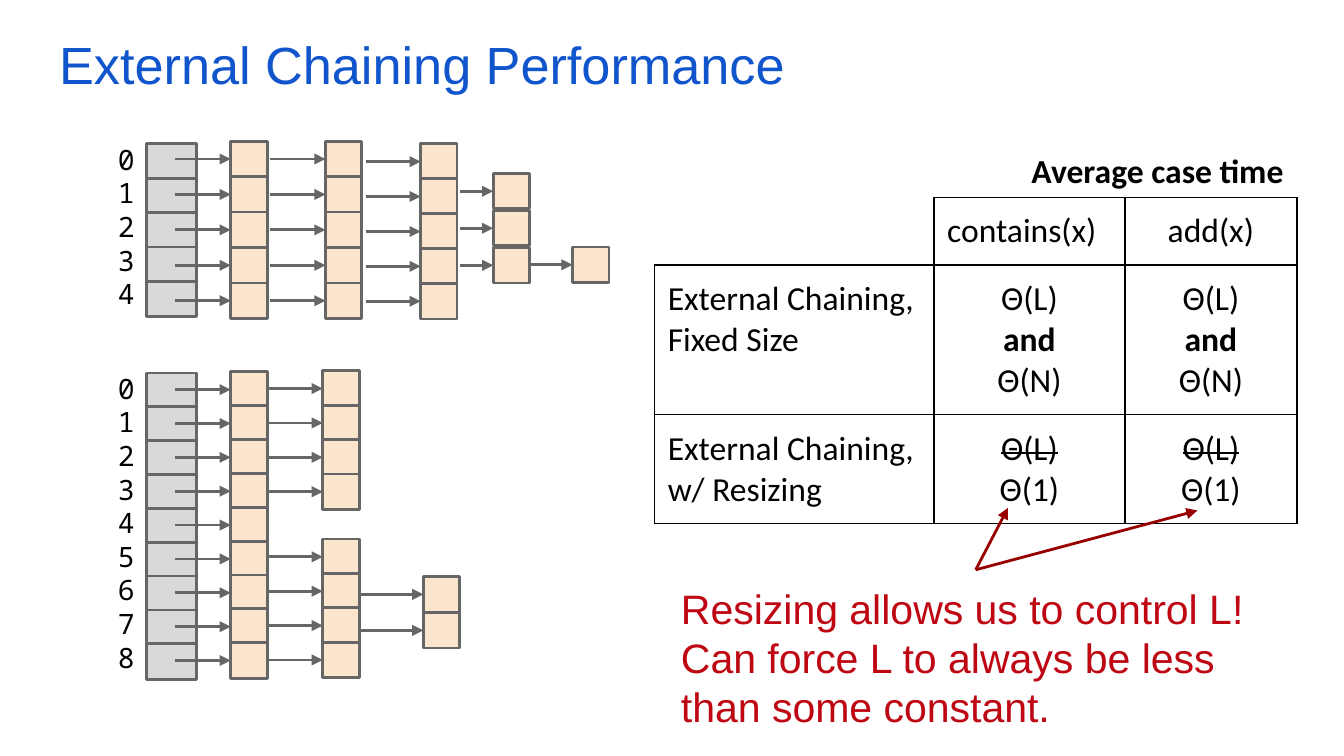
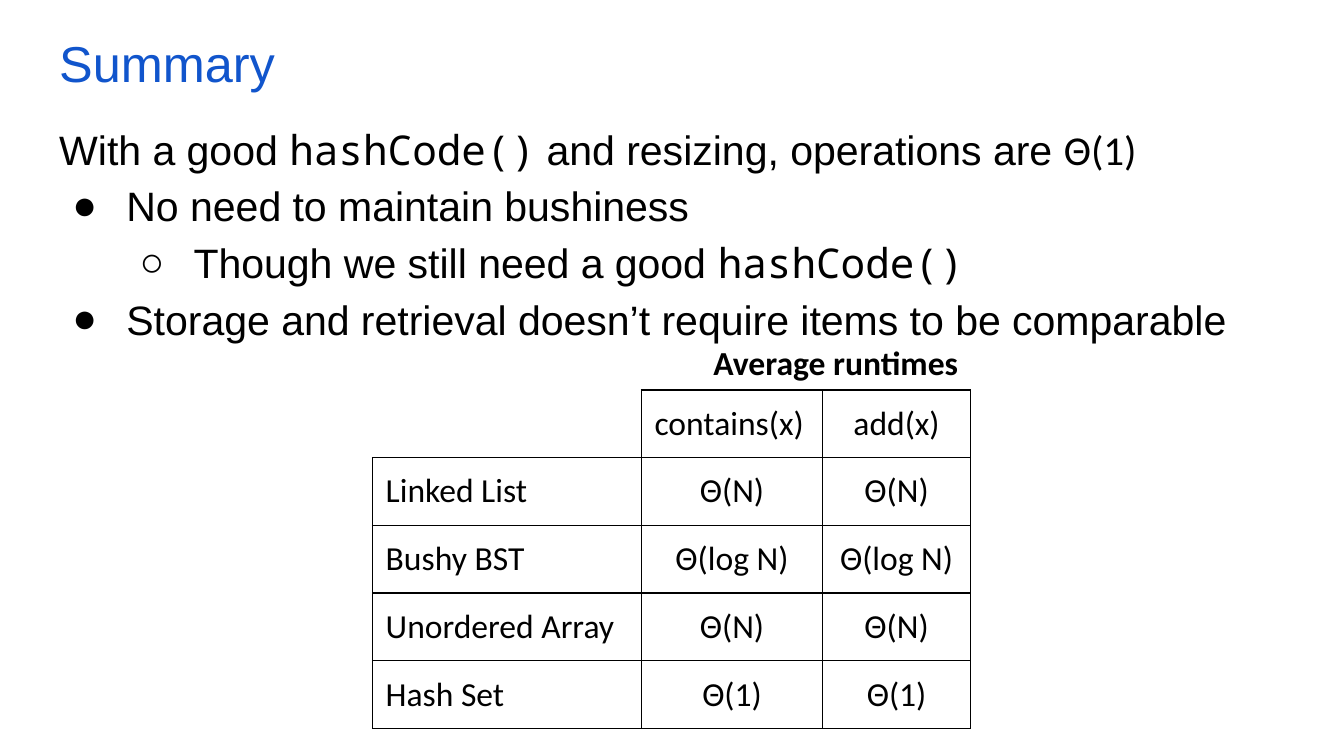
"""Builds two slides on the running time of external chaining hash tables."""
from lxml import etree
from pptx import Presentation
from pptx.dml.color import RGBColor
from pptx.enum.shapes import MSO_CONNECTOR, MSO_SHAPE
from pptx.enum.text import MSO_ANCHOR, PP_ALIGN
from pptx.oxml.ns import qn
from pptx.util import Cm, Pt

LEFT, CENTER, RIGHT = PP_ALIGN.LEFT, PP_ALIGN.CENTER, PP_ALIGN.RIGHT
TOP, MIDDLE = MSO_ANCHOR.TOP, MSO_ANCHOR.MIDDLE
RECTANGLE, STRAIGHT = MSO_SHAPE.RECTANGLE, MSO_CONNECTOR.STRAIGHT

BLACK = RGBColor(0x00, 0x00, 0x00)
WHITE = RGBColor(0xFF, 0xFF, 0xFF)
TITLE_BLUE = RGBColor(0x11, 0x55, 0xCC)
BUCKET_GRAY = RGBColor(0xD9, 0xD9, 0xD9)
ITEM_PEACH = RGBColor(0xFC, 0xE5, 0xCD)
LINE_GRAY = RGBColor(0x66, 0x66, 0x66)
NOTE_RED = RGBColor(0xBE, 0x07, 0x12)
ARROW_RED = RGBColor(0x98, 0x00, 0x00)

MONO = {"name": "Noto Sans Mono"}
CALIBRI = {"name": "Calibri"}
TITLE = {"name": "Arial", "size": Pt(28), "color": TITLE_BLUE}
BODY = {"name": "Arial", "size": Pt(22), "color": BLACK}
NOTE = {**BODY, "color": NOTE_RED}
CELL = {**CALIBRI, "size": Pt(18), "color": BLACK}
CAPTION = {**CELL, "bold": True}
INDEX = {**MONO, "size": Pt(15), "color": BLACK}

TITLE_BOX = (0.87, 0.36, 23.66, 1.6)
INSET = 0.25
BUCKET_LEFT, BUCKET_W, ITEM_W, BOX_H = 2.77, 0.94, 0.69, 0.67

# fmt: off
HASH_TABLES = [
    {"buckets": 5, "top": 2.72, "pitch": 0.65, "columns": [
        (3.3, 4.36, 2.67, 0.67, 5), (5.11, 6.15, 2.67, 0.67, 5),
        (6.91, 7.95, 2.72, 0.66, 5), (8.69, 9.32, 3.28, 0.7, 3),
        (10.03, 10.82, 4.67, 0.7, 1)]},
    {"buckets": 9, "top": 7.05, "pitch": 0.64, "columns": [
        (3.3, 4.36, 7.03, 0.64, 9), (5.05, 6.1, 7.01, 0.65, 4),
        (5.05, 6.1, 10.19, 0.65, 4), (6.8, 8.0, 10.9, 0.68, 2)]},
]
# fmt: on

FIXED_SIZE = ["Θ(L)", ("and", {"bold": True}), "Θ(N)"]
RESIZING = [("Θ(L)", {"strike": True}), "Θ(1)"]
HEADER = [[], ["contains(x)"], ["add(x)"]]
CHAINING_ROWS = [
    HEADER,
    [["External Chaining,", "Fixed Size"], FIXED_SIZE, FIXED_SIZE],
    [["External Chaining,", "w/ Resizing"], RESIZING, RESIZING],
]
RUNTIMES = [
    ("Linked List", "Θ(N)"),
    ("Bushy BST", "Θ(log N)"),
    ("Unordered Array", "Θ(N)"),
    ("Hash Set", "Θ(1)"),
]
RUNTIME_ROWS = [HEADER] + [[[name], [time], [time]] for name, time in RUNTIMES]

RESIZING_NOTE = "Resizing allows us to control L! Can force L to always be less than some constant."
NOTE_ARROW_START = (18.44, 10.77)
NOTE_ARROW_ENDS = [(19.05, 9.6), (22.63, 9.65)]

SUMMARY = [
    (None, ["With a good ", ("hashCode()", MONO), " and resizing, operations are ", ("Θ(1)", CALIBRI)]),
    ("●", ["No need to maintain bushiness"]),
    ("○", ["Though we still need a good ", ("hashCode()", MONO)]),
    ("●", ["Storage and retrieval doesn’t require items to be comparable"]),
]
BULLET_INDENT = {"●": 1.27, "○": 2.54}


def add_run(p, part, base):
    """Add a run given as text or as (text, format changes)."""
    text, changes = part if isinstance(part, tuple) else (part, {})
    r = p.add_run()
    r.text = text
    for key, value in {**base, **changes}.items():
        if key == "color":
            r.font.color.rgb = value
        elif key == "strike":
            r._r.get_or_add_rPr().set("strike", "sngStrike")
        else:
            setattr(r.font, key, value)


def fill_frame(tf, lines, base, align=LEFT):
    """Write one paragraph per line, each a list of parts."""
    for i, parts in enumerate(lines):
        p = tf.add_paragraph() if i else tf.paragraphs[0]
        p.alignment = align
        for part in parts:
            add_run(p, part, base)


def set_margins(target):
    """Give a cell or text frame the shared inset."""
    for side in ("left", "right", "top", "bottom"):
        setattr(target, f"margin_{side}", Cm(INSET))


def add_text(s, box, lines, base, align=LEFT, anchor=TOP):
    """Add a wrapping text box."""
    tf = s.shapes.add_textbox(*map(Cm, box)).text_frame
    tf.word_wrap = True
    tf.vertical_anchor = anchor
    set_margins(tf)
    fill_frame(tf, lines, base, align)
    return tf


def add_box(s, left, top, width, color):
    """Add one bucket or item."""
    sp = s.shapes.add_shape(RECTANGLE, Cm(left), Cm(top), Cm(width), Cm(BOX_H))
    sp.shadow.inherit = False
    sp.fill.solid()
    sp.fill.fore_color.rgb = color
    sp.line.color.rgb = LINE_GRAY
    sp.line.width = Pt(1.5)


def add_arrow(s, start, end, color):
    """Add a straight arrow with a triangle head."""
    arrow = s.shapes.add_connector(STRAIGHT, *map(Cm, start + end))
    arrow.line.color.rgb = color
    arrow.line.width = Pt(1.5)
    etree.SubElement(arrow.line._get_or_add_ln(), qn("a:tailEnd"), type="triangle")
    etree.SubElement(arrow._element.spPr, qn("a:effectLst"))


def add_hash_table(s, buckets, top, pitch, columns):
    """Draw the bucket array, its indices and the chains of items."""
    for i in range(buckets):
        add_box(s, BUCKET_LEFT, top + i * pitch, BUCKET_W, BUCKET_GRAY)
    index_box = (1.98, top - 0.28, 0.81, buckets * pitch + 0.6)
    add_text(s, index_box, [[str(i)] for i in range(buckets)], INDEX, RIGHT)
    for start, left, first, step, count in columns:
        for i in range(count):
            y = first + i * step
            add_box(s, left, y, ITEM_W, ITEM_PEACH)
            add_arrow(s, (start, y + BOX_H / 2), (left, y + BOX_H / 2), LINE_GRAY)


def add_border(cell, sides):
    """Draw thin black borders on the given sides of a cell."""
    for side in sides:
        ln = etree.SubElement(cell._tc.get_or_add_tcPr(), qn(f"a:ln{side}"), w=str(Pt(0.75)))
        etree.SubElement(etree.SubElement(ln, qn("a:solidFill")), qn("a:srgbClr"), val=str(BLACK))


def add_table(s, left, top, widths, heights, rows):
    """Add a bordered table whose top left corner is open."""
    frame = s.shapes.add_table(len(rows), len(widths), Cm(left), Cm(top), Cm(sum(widths)), Cm(sum(heights)))
    table = frame.table
    table.first_row = table.horz_banding = False
    for column, width in zip(table.columns, widths):
        column.width = Cm(width)
    for row, height in zip(table.rows, heights):
        row.height = Cm(height)
    for r, row in enumerate(rows):
        for c, lines in enumerate(row):
            cell = table.cell(r, c)
            set_margins(cell)
            add_border(cell, "LRTB" if lines else "RB")
            if lines:
                cell.fill.solid()
                cell.fill.fore_color.rgb = WHITE
            else:
                cell.fill.background()
            align = LEFT if c == 0 or (r, c) == (0, 1) else CENTER
            fill_frame(cell.text_frame, [[line] for line in lines], CELL, align)


def add_slide(prs, title, size=28):
    """Add a blank slide with the shared title."""
    s = prs.slides.add_slide(prs.slide_layouts[6])
    add_text(s, TITLE_BOX, [[title]], {**TITLE, "size": Pt(size)})
    return s


def build_performance(prs):
    """Build the slide on external chaining."""
    s = add_slide(prs, "External Chaining Performance")
    add_text(s, (18.24, 2.67, 6.27, 1.09), [["Average case time"]], CAPTION, RIGHT, MIDDLE)
    add_table(s, 12.37, 3.73, (5.28, 3.61, 3.25), (1.28, 2.83, 2.06), CHAINING_ROWS)
    add_text(s, (12.62, 10.77, 11.66, 3.38), [[RESIZING_NOTE]], NOTE)
    for end in NOTE_ARROW_ENDS:
        add_arrow(s, NOTE_ARROW_START, end, ARROW_RED)
    for hash_table in HASH_TABLES:
        add_hash_table(s, **hash_table)


def build_summary(prs):
    """Build the summary slide."""
    s = add_slide(prs, "Summary", 27)
    tf = add_text(s, (0.87, 1.96, 23.66, 4.9), [parts for _, parts in SUMMARY], BODY)
    for p, (bullet, _) in zip(tf.paragraphs, SUMMARY):
        p.line_spacing = 1.15
        if bullet:
            p.level = int(bullet == "○")
            pPr = p._p.get_or_add_pPr()
            pPr.set("marL", str(Cm(BULLET_INDENT[bullet])))
            pPr.set("indent", str(-Cm(1.02)))
            color = etree.SubElement(pPr, qn("a:buClr"))
            etree.SubElement(color, qn("a:srgbClr"), val=str(BLACK))
            etree.SubElement(pPr, qn("a:buFont"), typeface="Arial")
            etree.SubElement(pPr, qn("a:buChar"), char=bullet)
    add_text(s, (12.09, 6.3, 6.27, 1.09), [["Average runtimes"]], CAPTION, RIGHT, MIDDLE)
    add_table(s, 7.04, 7.37, (5.08, 3.43, 2.79), [1.28] * len(RUNTIME_ROWS), RUNTIME_ROWS)


def main():
    """Build and save the presentation."""
    prs = Presentation()
    prs.slide_width, prs.slide_height = Cm(25.4), Cm(14.29)
    build_performance(prs)
    build_summary(prs)
    prs.save("out.pptx")


if __name__ == "__main__":
    main()
